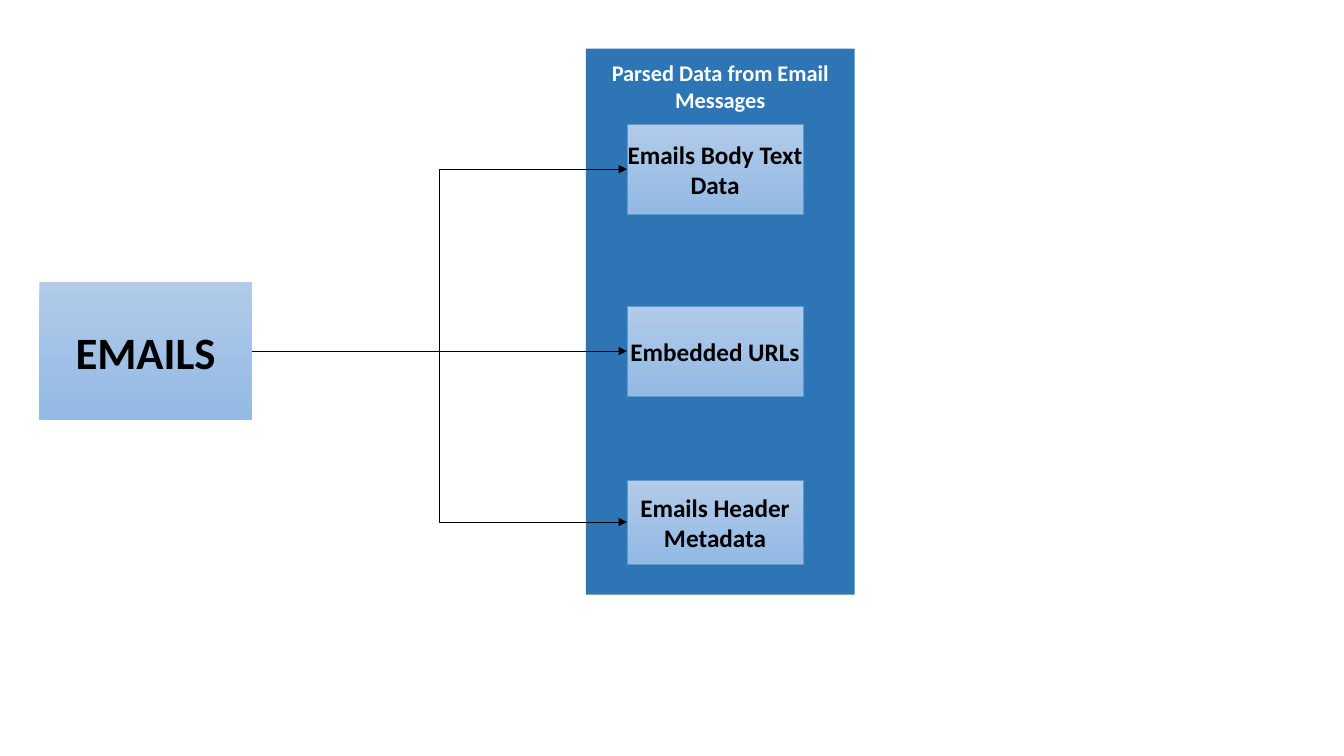
from lxml import etree
from pptx import Presentation
from pptx.dml.color import RGBColor
from pptx.enum.shapes import MSO_CONNECTOR, MSO_SHAPE
from pptx.enum.text import MSO_ANCHOR, PP_ALIGN
from pptx.oxml.ns import qn
from pptx.util import Inches, Pt

RECTANGLE = MSO_SHAPE.RECTANGLE
STRAIGHT, ELBOW = MSO_CONNECTOR.STRAIGHT, MSO_CONNECTOR.ELBOW
CENTER = PP_ALIGN.CENTER
TOP, MIDDLE = MSO_ANCHOR.TOP, MSO_ANCHOR.MIDDLE
LEFT_SITE, RIGHT_SITE = 1, 3

BLACK = RGBColor(0x00, 0x00, 0x00)
WHITE = RGBColor(0xFF, 0xFF, 0xFF)
PANEL_BLUE = RGBColor(0x2E, 0x75, 0xB6)
BORDER_BLUE = RGBColor(0x5B, 0x9B, 0xD5)
LIGHT_BLUE = RGBColor(0xB1, 0xCB, 0xE9)
SOFT_BLUE = RGBColor(0x93, 0xB9, 0xE4)

COLUMNS, ROWS = 160, 90


class Diagram:
    """Draws on one slide; lengths are columns and rows of a 160 x 90 grid."""

    font_name = "Calibri"
    line_width = Pt(0.5)

    def __init__(self, presentation):
        self.slide = presentation.slides.add_slide(presentation.slide_layouts[6])
        self.column = presentation.slide_width / COLUMNS
        self.row = presentation.slide_height / ROWS

    def box(self, text, left, top, width, height, size, color, anchor, margins):
        """Add a rectangle with bold centred text; margins run left, top, right, bottom."""
        shape = self.slide.shapes.add_shape(
            RECTANGLE,
            round(left * self.column), round(top * self.row),
            round(width * self.column), round(height * self.row))
        shape.shadow.inherit = False
        shape.line.fill.background()
        frame = shape.text_frame
        frame.word_wrap = True
        frame.vertical_anchor = anchor
        (frame.margin_left, frame.margin_top,
         frame.margin_right, frame.margin_bottom) = map(Inches, margins)
        frame.text = text
        paragraph = frame.paragraphs[0]
        paragraph.alignment = CENTER
        font = paragraph.font
        font.name, font.size, font.bold = self.font_name, Pt(size), True
        font.color.rgb = color
        return shape

    def panel(self, text, left, top, width, height):
        shape = self.box(text, left, top, width, height, 16, WHITE, TOP, (0, 0.1, 0, 0))
        shape.fill.solid()
        shape.fill.fore_color.rgb = PANEL_BLUE

    def gradient_box(self, text, left, top, width, height, size, margins):
        shape = self.box(text, left, top, width, height, size, BLACK, MIDDLE, margins)
        shape.fill.gradient()
        shape.fill.gradient_angle = 270
        for stop, color in zip(shape.fill.gradient_stops, (LIGHT_BLUE, SOFT_BLUE)):
            stop.color.rgb = color
        return shape

    def source_box(self, text, left, top, width, height):
        return self.gradient_box(text, left, top, width, height, 32, (0.1, 0.05, 0.1, 0.05))

    def data_box(self, text, left, top, width, height):
        shape = self.gradient_box(text, left, top, width, height, 18, (0, 0, 0, 0))
        shape.line.color.rgb = BORDER_BLUE
        shape.line.width = self.line_width
        return shape

    def arrow(self, kind, start, end):
        connector = self.slide.shapes.add_connector(kind, 0, 0, 0, 0)
        connector.begin_connect(start, RIGHT_SITE)
        connector.end_connect(end, LEFT_SITE)
        connector.line.color.rgb = BLACK
        connector.line.width = self.line_width
        properties = connector.element.spPr
        etree.SubElement(properties.find(qn("a:ln")), qn("a:tailEnd"), type="triangle")
        etree.SubElement(properties, qn("a:effectLst"))


def main():
    presentation = Presentation()
    presentation.slide_width = Inches(13.33)
    presentation.slide_height = Inches(7.5)
    diagram = Diagram(presentation)

    diagram.panel("Parsed Data from Email Messages", 69.75, 5.8, 32, 65)
    emails = diagram.source_box("EMAILS", 4.7, 33.6, 25.3, 16.4)
    parsed_data = [
        ("Emails Body Text Data", 14.8, 10.7, ELBOW),
        ("Embedded URLs", 36.45, 10.7, STRAIGHT),
        ("Emails Header Metadata", 57.15, 10, ELBOW),
    ]
    for text, top, height, kind in parsed_data:
        data_box = diagram.data_box(text, 74.65, top, 20.95, height)
        diagram.arrow(kind, emails, data_box)

    presentation.save("out.pptx")


if __name__ == "__main__":
    main()
